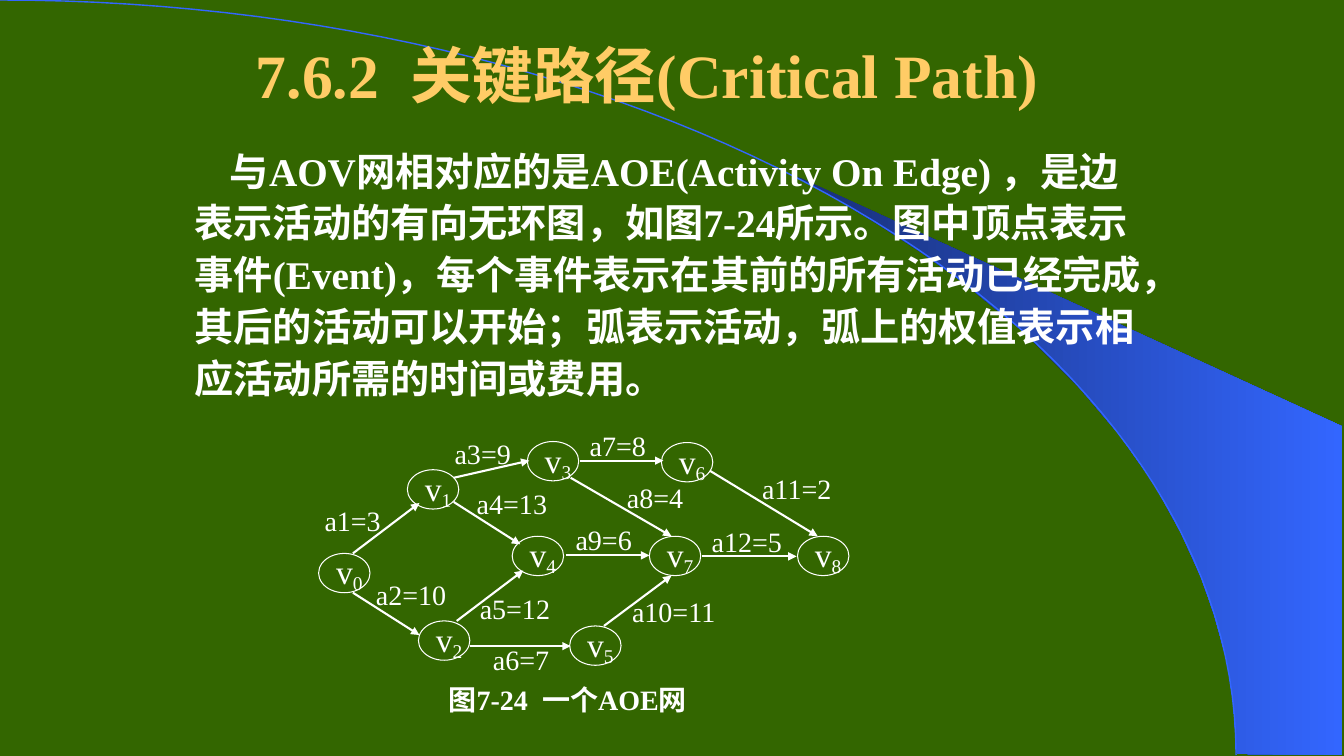
from dataclasses import dataclass
from math import cos, pi, sin
from typing import Any

from lxml.etree import SubElement
from pptx import Presentation
from pptx.dml.color import RGBColor
from pptx.enum.shapes import MSO_CONNECTOR, MSO_SHAPE
from pptx.enum.text import MSO_ANCHOR, MSO_AUTO_SIZE, PP_ALIGN
from pptx.oxml.ns import qn
from pptx.util import Emu, Pt

PX = 9144  # EMU in one px, 100 px to the inch

GREEN = RGBColor(0x33, 0x66, 0x00)
NAVY = RGBColor(0x18, 0x2F, 0x76)
BLUE = RGBColor(0x33, 0x66, 0xFF)
GOLD = RGBColor(0xFF, 0xCC, 0x66)
WHITE = RGBColor(0xFF, 0xFF, 0xFF)

LATIN_FONT = "Times New Roman"
CHINESE_FONT = "Noto Sans CJK SC"

TITLE = "7.6.2  关键路径(Critical Path)"
BODY = (
    "与AOV网相对应的是AOE(Activity On Edge) ，是边表示活动的有向无环图，"
    "如图7-24所示。图中顶点表示事件(Event)，每个事件表示在其前的所有活动已经完成，"
    "其后的活动可以开始；弧表示活动，弧上的权值表示相应活动所需的时间或费用。"
)
CAPTION = "图7-24  一个AOE网"

SWOOSH = [
    (1227, 748), (1331, 749), (1331, 423), (786, 173), (832, 199), (870, 222),
    (913, 250), (955, 280), (1016, 330), (1070, 384), (1110, 431), (1144, 479),
    (1171, 528), (1191, 572), (1204, 609), (1217, 656), (1223, 696),
]
ARC_WIDTH, ARC_HEIGHT, ARC_STEPS = 1226, 749, 60
NODE_WIDTH, NODE_HEIGHT = 51, 39
LABEL_WIDTH, LABEL_HEIGHT = 95, 35

TITLE_FORMAT = {"size": Pt(44), "bold": True}
BODY_FORMAT = {"size": Pt(28), "bold": True}
NODE_FORMAT = {"size": Pt(24), "bold": False}
LABEL_FORMAT = {"size": Pt(20), "bold": False}
CAPTION_FORMAT = {"size": Pt(20), "bold": True}


@dataclass(frozen=True)
class Event:
    number: int
    left: int
    top: int


@dataclass(frozen=True)
class Activity:
    name: str
    label: tuple[int, int]
    start: tuple[int, int]
    end: tuple[int, int]


EVENTS = [
    Event(0, 316, 549), Event(1, 404, 466), Event(2, 415, 616),
    Event(3, 523, 438), Event(4, 508, 532), Event(5, 565, 621),
    Event(6, 656, 439), Event(7, 644, 532), Event(8, 791, 532),
]
ACTIVITIES = [
    Activity("a1=3", (312, 499), (350, 549), (416, 499)),
    Activity("a2=10", (363, 572), (350, 588), (416, 630)),
    Activity("a3=9", (441, 432), (450, 474), (525, 457)),
    Activity("a4=13", (463, 482), (450, 498), (516, 540)),
    Activity("a5=12", (466, 586), (453, 616), (519, 566)),
    Activity("a6=7", (479, 637), (466, 641), (566, 641)),
    Activity("a7=8", (575, 424), (575, 457), (658, 457)),
    Activity("a8=4", (612, 476), (566, 474), (666, 532)),
    Activity("a9=6", (561, 518), (561, 551), (644, 551)),
    Activity("a10=11", (617, 589), (599, 621), (666, 571)),
    Activity("a11=2", (746, 467), (704, 467), (811, 532)),
    Activity("a12=5", (696, 519), (696, 552), (790, 552)),
]


def px(*lengths: int) -> list[Emu]:
    return [Emu(length * PX) for length in lengths]


def apply_format(target: Any, values: dict[str, Any]) -> None:
    for name, value in values.items():
        setattr(target, name, value)


def add_run(paragraph: Any, text: str, values: dict[str, Any], color: RGBColor = WHITE) -> Any:
    run = paragraph.add_run()
    run.text = text
    apply_format(run.font, {"name": LATIN_FONT, **values})
    run.font.color.rgb = color
    SubElement(run.font._element, qn("a:ea"), typeface=CHINESE_FONT)
    return run


def place(shape: Any, left: int, top: int, width: int, height: int) -> None:
    apply_format(shape, dict(zip(("left", "top", "width", "height"), px(left, top, width, height))))


def add_backdrop(slide: Any, points: list[tuple[float, float]], close: bool, position: int) -> Any:
    """Draw an outline behind the placeholders."""
    corners = [(round(x * PX), round(y * PX)) for x, y in points]
    builder = slide.shapes.build_freeform(*corners[0], scale=1.0)
    builder.add_line_segments(corners[1:], close=close)
    shape = builder.convert_to_shape()
    shape.shadow.inherit = False
    slide.shapes._spTree.insert(position, shape._element)
    return shape


def add_label(shapes: Any, text: str, box: tuple[int, int, int, int], values: dict[str, Any]) -> None:
    frame = shapes.add_textbox(*px(*box)).text_frame
    apply_format(frame, {
        "word_wrap": False, "vertical_anchor": MSO_ANCHOR.MIDDLE, "margin_right": Emu(0)})
    add_run(frame.paragraphs[0], text, values)


def add_event(shapes: Any, event: Event) -> None:
    shape = shapes.add_shape(MSO_SHAPE.OVAL, *px(event.left, event.top, NODE_WIDTH, NODE_HEIGHT))
    shape.shadow.inherit = False
    shape.fill.background()
    shape.line.color.rgb = WHITE
    shape.line.width = Pt(0.75)
    frame = shape.text_frame
    apply_format(frame, {"word_wrap": False, "vertical_anchor": MSO_ANCHOR.MIDDLE})
    paragraph = frame.paragraphs[0]
    paragraph.alignment = PP_ALIGN.LEFT
    add_run(paragraph, "v", NODE_FORMAT)
    subscript = add_run(paragraph, str(event.number), NODE_FORMAT)
    subscript.font._element.set("baseline", "-18000")


def add_activity(shapes: Any, activity: Activity) -> None:
    add_label(shapes, activity.name, (*activity.label, LABEL_WIDTH, LABEL_HEIGHT), LABEL_FORMAT)
    arrow = shapes.add_connector(MSO_CONNECTOR.STRAIGHT, *px(*activity.start, *activity.end))
    arrow.line.color.rgb = WHITE
    arrow.line.width = Pt(1.5)
    SubElement(arrow.line._get_or_add_ln(), qn("a:tailEnd"), type="triangle")
    SubElement(arrow._element.spPr, qn("a:effectLst"))


def main() -> None:
    presentation = Presentation()
    presentation.slide_width, presentation.slide_height = px(1333, 750)
    slide = presentation.slides.add_slide(presentation.slide_layouts[1])
    slide.background.fill.solid()
    slide.background.fill.fore_color.rgb = GREEN

    # Blue swoosh and arc behind the text
    swoosh = add_backdrop(slide, SWOOSH, True, 2)
    swoosh.fill.gradient()
    swoosh.fill.gradient_angle = 0
    for stop, color in zip(swoosh.fill.gradient_stops, (NAVY, BLUE)):
        stop.color.rgb = color
    swoosh.line.fill.background()
    angles = [pi / 2 * step / ARC_STEPS for step in range(ARC_STEPS + 1)]
    arc_points = [(ARC_WIDTH * sin(angle), ARC_HEIGHT * (1 - cos(angle))) for angle in angles]
    arc = add_backdrop(slide, arc_points, False, 3)
    arc.fill.background()
    arc.line.color.rgb = BLUE
    arc.line.width = Pt(1)

    # Title
    title = slide.shapes.title
    place(title, 242, 36, 800, 75)
    apply_format(title.text_frame, {
        "vertical_anchor": MSO_ANCHOR.MIDDLE, "auto_size": MSO_AUTO_SIZE.NONE, "word_wrap": True})
    heading = title.text_frame.paragraphs[0]
    heading.alignment = PP_ALIGN.CENTER
    add_run(heading, TITLE, TITLE_FORMAT, GOLD)

    # Body paragraph with a first-line indent
    body = slide.placeholders[1]
    place(body, 183, 136, 964, 278)
    apply_format(body.text_frame, {
        "vertical_anchor": MSO_ANCHOR.TOP, "auto_size": MSO_AUTO_SIZE.NONE, "word_wrap": True})
    paragraph = body.text_frame.paragraphs[0]
    apply_format(paragraph, {"line_spacing": 1.1, "space_before": Pt(0), "alignment": PP_ALIGN.LEFT})
    properties = paragraph._element.get_or_add_pPr()
    properties.set("marL", "0")
    properties.set("indent", str(35 * PX))
    SubElement(properties, qn("a:buNone"))
    add_run(paragraph, BODY, BODY_FORMAT)

    # AOE network
    network = slide.shapes.add_group_shape().shapes
    for event in EVENTS:
        add_event(network, event)
    for activity in ACTIVITIES:
        add_activity(network, activity)
    add_label(network, CAPTION, (435, 674, 295, 39), CAPTION_FORMAT)

    presentation.save("out.pptx")


if __name__ == "__main__":
    main()
